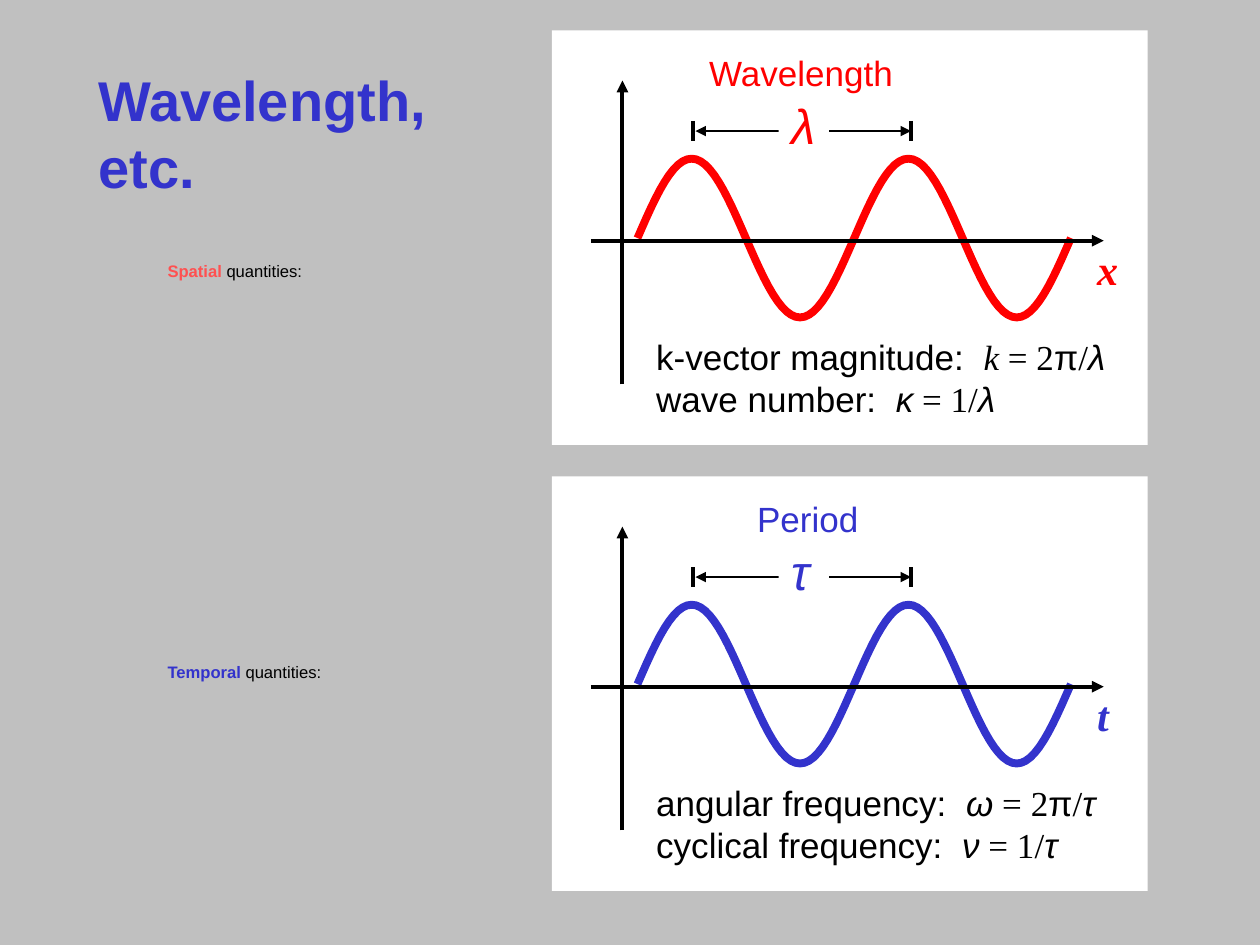
import math
from pptx import Presentation
from pptx.dml.color import RGBColor
from pptx.enum.shapes import MSO_CONNECTOR, MSO_SHAPE
from pptx.enum.text import MSO_ANCHOR, MSO_AUTO_SIZE, PP_ALIGN
from pptx.oxml.ns import qn
from pptx.util import Inches, Pt
from lxml import etree

RECT, LINE = MSO_SHAPE.RECTANGLE, MSO_CONNECTOR.STRAIGHT
TOP, MIDDLE = MSO_ANCHOR.TOP, MSO_ANCHOR.MIDDLE
FIXED, LEFT = MSO_AUTO_SIZE.NONE, PP_ALIGN.LEFT
COL, ROW = Inches(10) / 100, Inches(7.5) / 100
RED, CORAL, BLUE = "FF0000", "FF5050", "3333CC"
BLACK, WHITE, GRAY = "000000", "FFFFFF", "C0C0C0"
SANS, SERIF = "Arial", "Times New Roman"


def color(code):
    return RGBColor.from_string(code)


def box(x, y, w, h):
    return round(x * COL), round(y * ROW), round(w * COL), round(h * ROW)


def style(run, size, tint, face=SANS, bold=False, italic=False):
    font = run.font
    font.size, font.name = Pt(size), face
    font.bold, font.italic = bold, italic
    font.color.rgb = color(tint)


def paint(shape, tint):
    shape.fill.solid()
    shape.fill.fore_color.rgb = color(tint)


def label(shapes, area, text, size, tint, **look):
    item = shapes.add_textbox(*box(*area))
    frame = item.text_frame
    frame.word_wrap = True
    frame.text = text
    style(frame.paragraphs[0].runs[0], size, tint, **look)
    return item


def notes(shapes, area, lines):
    frame = shapes.add_textbox(*box(*area)).text_frame
    frame.word_wrap = True
    for row, parts in enumerate(lines):
        para = frame.add_paragraph() if row else frame.paragraphs[0]
        for text, face, italic in parts:
            run = para.add_run()
            run.text = text
            style(run, 20, BLACK, face, italic=italic)


def line(shapes, start, end, width, ends=()):
    x1, y1, x2, y2 = box(*start, *end)
    item = shapes.add_connector(LINE, x1, y1, x2, y2)
    item.line.color.rgb = color(BLACK)
    item.line.width = Pt(width)
    props = item._element.spPr
    for name in ends:
        etree.SubElement(props.find(qn("a:ln")), qn(name), type="triangle")
    etree.SubElement(props, qn("a:effectLst"))


def wave(shapes, x, y, width, height, tint):
    steps = 96
    dots = [(round((x + width * n / steps) * COL),
             round((y - height * math.sin(4 * math.pi * n / steps)) * ROW))
            for n in range(steps + 1)]
    path = shapes.build_freeform(*dots[0])
    path.add_line_segments(dots[1:], close=False)
    item = path.convert_to_shape()
    item.shadow.inherit = False
    item.fill.background()
    item.line.color.rgb = color(tint)
    item.line.width = Pt(4.5)


def panel(slide, top, tint, name, left, width, sign, axis, lines):
    shapes = slide.shapes.add_group_shape().shapes
    card = shapes.add_shape(RECT, *box(43.8, top, 47.3, 43.87))
    card.shadow.inherit = False
    paint(card, WHITE)
    card.line.fill.background()
    wave(shapes, 50.6, top + 22, 34.4, 8.4, tint)
    mid, span = top + 22.27, top + 10.67
    line(shapes, (46.9, mid), (87.6, mid), 2.25, ["a:tailEnd"])
    label(shapes, (86.1, top + 21.87, 5.3, 6.67), axis, 24, tint,
          face=SERIF, bold=True, italic=True)
    line(shapes, (49.4, top + 37.47), (49.4, top + 5.33), 2.25, ["a:tailEnd"])
    label(shapes, (left, top + 1.6, width, 5.87), name, 20, tint)
    line(shapes, (55.2, span), (72.3, span), 1.5, ["a:headEnd", "a:tailEnd"])
    mark = label(shapes, (61.8, top + 6.27, 4, 7.6), sign, 28, tint, italic=True)
    paint(mark, WHITE)
    for x in (55, 72.3):
        line(shapes, (x, span - 1.07), (x, span + 1.07), 2.25)
    notes(shapes, (51.1, top + 31.6, 39, 10.27), lines)


def place(holder, area, anchor):
    holder.left, holder.top, holder.width, holder.height = box(*area)
    frame = holder.text_frame
    frame.word_wrap, frame.auto_size = True, FIXED
    frame.vertical_anchor = anchor
    return frame


def head(slide, text):
    frame = place(slide.shapes.title, (6.8, 6.93, 30.7, 14.27), MIDDLE)
    frame.text = text
    para = frame.paragraphs[0]
    para.alignment = LEFT
    style(para.runs[0], 32, BLUE, bold=True)


def topic(holder, top, word, tint):
    frame = place(holder, (12.3, top, 28.8, 6.13), TOP)
    para = frame.paragraphs[0]
    para.space_before = Pt(5)
    props = para._p.get_or_add_pPr()
    props.set("marL", str(Inches(0.38)))
    props.set("indent", str(-Inches(0.38)))
    etree.SubElement(props, qn("a:buNone"))
    for text, shade, bold in ((word, tint, True), ("quantities:", BLACK, False)):
        run = para.add_run()
        run.text = text
        style(run, 9.5, shade, bold=bold)


def rules(first, face, sign, second, mark, unit):
    return [
        [(first, SANS, False), (sign, face, True), (" = 2", SERIF, False),
         ("π", SANS, False), ("/", SERIF, False), (unit, SANS, True)],
        [(second, SANS, False), (mark, SANS, True),
         (" = 1/", SERIF, False), (unit, SANS, True)],
    ]


def main():
    deck = Presentation()
    deck.slide_width, deck.slide_height = Inches(10), Inches(7.5)
    slide = deck.slides.add_slide(deck.slide_layouts[3])
    paint(slide.background, GRAY)
    head(slide, "Wavelength, etc.")
    topic(slide.placeholders[1], 26.93, "Spatial ", CORAL)
    topic(slide.placeholders[2], 69.33, "Temporal ", BLUE)
    panel(slide, 3.2, RED, "Wavelength", 55.3, 17, "λ", "x",
          rules("k-vector magnitude:  ", SERIF, "k", "wave number:  ", "κ", "λ"))
    panel(slide, 50.4, BLUE, "Period", 59.1, 10.8, "τ", "t",
          rules("angular frequency:  ", SANS, "ω", "cyclical frequency:  ", "ν", "τ"))
    deck.save("out.pptx")


if __name__ == "__main__":
    main()
